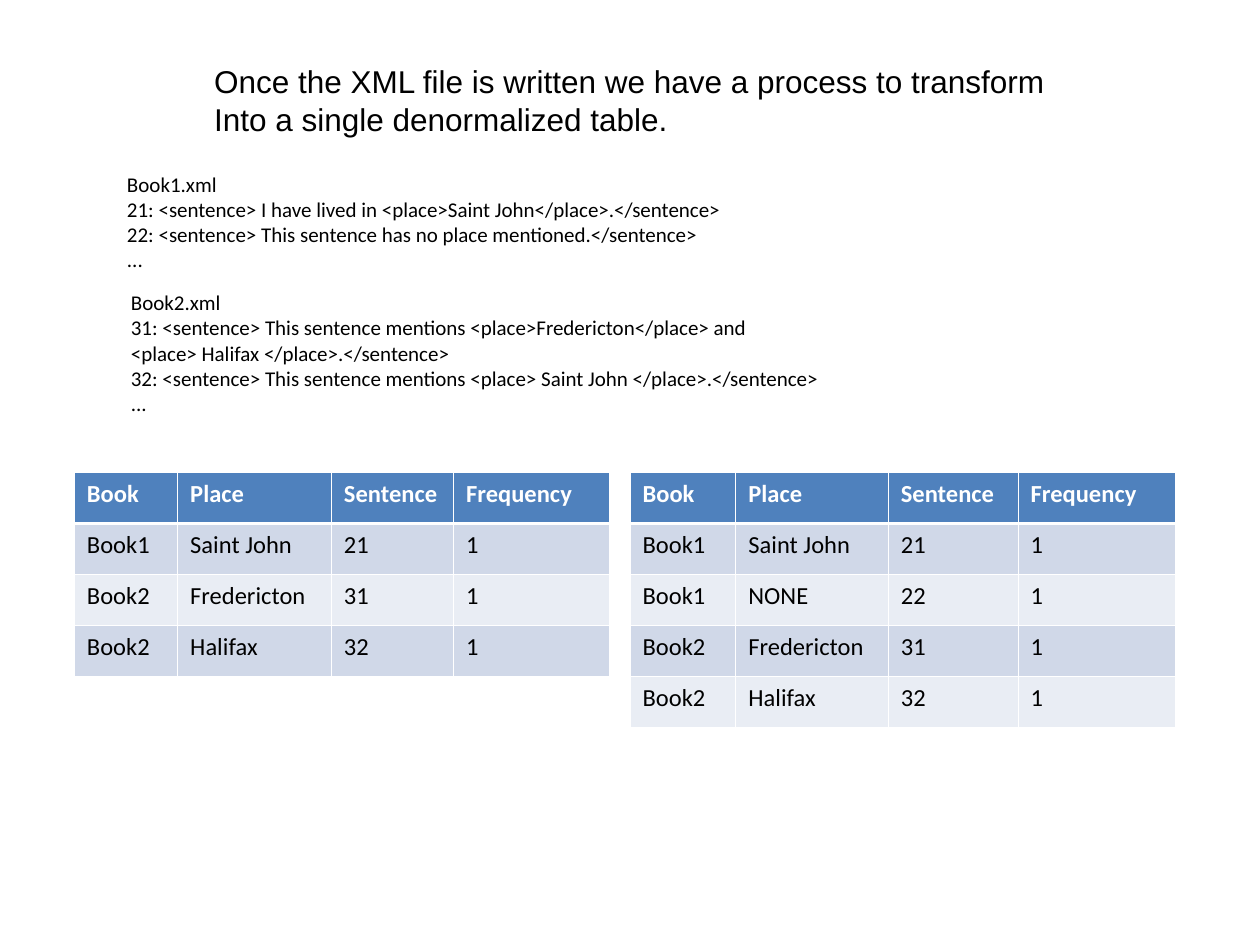
from dataclasses import dataclass

from lxml.etree import SubElement
from pptx import Presentation
from pptx.dml.color import RGBColor
from pptx.enum.text import MSO_ANCHOR, MSO_AUTO_SIZE, PP_ALIGN
from pptx.oxml.ns import qn
from pptx.util import Inches, Pt


@dataclass(frozen=True)
class Theme:
    ink: str = "000000"
    white: str = "FFFFFF"
    head: str = "4F81BD"
    bands: tuple = ("D0D8E8", "E9EDF4")
    title: int = 18
    code: int = 12
    cell: int = 14
    thin: float = 0.45
    thick: float = 1.47


THEME = Theme()
FRAME = {
    "word_wrap": False,
    "auto_size": MSO_AUTO_SIZE.NONE,
    "vertical_anchor": MSO_ANCHOR.TOP,
}

TITLE = [
    "Once the XML file is written we have a process to transform",
    "Into a single denormalized table.",
]
BOOK1 = [
    "Book1.xml",
    "21: <sentence> I have lived in <place>Saint John</place>.</sentence>",
    "22: <sentence> This sentence has no place mentioned.</sentence>",
    "...",
]
BOOK2 = [
    "Book2.xml",
    "31: <sentence> This sentence mentions <place>Fredericton</place> and",
    "<place> Halifax </place>.</sentence>",
    "32: <sentence> This sentence mentions <place> Saint John </place>.</sentence>",
    "...",
]
HEAD = ("Book", "Place", "Sentence", "Frequency")
FOUND = [
    ("Book1", "Saint John", "21", "1"),
    ("Book2", "Fredericton", "31", "1"),
    ("Book2", "Halifax", "32", "1"),
]
NONE = ("Book1", "NONE", "22", "1")
ROW = 0.405


def assign(item, values):
    for name, value in values.items():
        setattr(item, name, value)


def write(frame, lines, size, face="Calibri", ink=THEME.ink, bold=False):
    """Fill a text frame, one paragraph per line."""
    frame.text = "\n".join(lines)
    for para in frame.paragraphs:
        para.alignment = PP_ALIGN.LEFT
        for run in para.runs:
            assign(run.font, {"name": face, "size": Pt(size), "bold": bold})
            run.font.color.rgb = RGBColor.from_string(ink)


def place(shape, left, top, width, height):
    box = {"left": left, "top": top, "width": width, "height": height}
    assign(shape, {name: Inches(value) for name, value in box.items()})


def add_title(slide, box, lines):
    title = slide.shapes.title
    place(title, *box)
    assign(title.text_frame, FRAME)
    write(title.text_frame, lines, THEME.title, "Arial")


def add_code(slide, box, lines):
    shape = slide.shapes.add_textbox(*map(Inches, box))
    assign(shape.text_frame, FRAME)
    write(shape.text_frame, lines, THEME.code)


def add_edge(cell, side, width):
    props = cell._tc.get_or_add_tcPr()
    line = SubElement(props, qn(f"a:ln{side}"), w=str(int(Pt(width))))
    fill = SubElement(line, qn("a:solidFill"))
    SubElement(fill, qn("a:srgbClr"), val=THEME.white)


def style_cell(cell, row, text):
    # Edges come before the fill in the cell's XML
    heavy = {(0, "B"), (1, "T")}
    for side in "LRTB":
        add_edge(cell, side, THEME.thick if (row, side) in heavy else THEME.thin)
    top = row == 0
    color = THEME.head if top else THEME.bands[(row - 1) % 2]
    cell.fill.solid()
    cell.fill.fore_color.rgb = RGBColor.from_string(color)
    write(cell.text_frame, [text], THEME.cell,
          ink=THEME.white if top else THEME.ink, bold=top)


def add_grid(slide, left, top, widths, body):
    rows = [HEAD, *body]
    box = (left, top, sum(widths), ROW * len(rows))
    table = slide.shapes.add_table(len(rows), len(HEAD), *map(Inches, box)).table
    for column, width in zip(table.columns, widths):
        column.width = Inches(width)
    for r, texts in enumerate(rows):
        table.rows[r].height = Inches(ROW)
        for c, text in enumerate(texts):
            style_cell(table.cell(r, c), r, text)


def main():
    deck = Presentation()
    assign(deck, {"slide_width": Inches(10), "slide_height": Inches(7.5)})
    slide = deck.slides.add_slide(deck.slide_layouts[5])

    # Heading
    add_title(slide, (1.6, 0.44, 6.8, 0.7), TITLE)

    # XML excerpts
    add_code(slide, (0.91, 1.31, 4.93, 0.9), BOOK1)
    add_code(slide, (0.94, 2.25, 5.68, 1.1), BOOK2)

    # Tables without and with the sentence that has no place
    add_grid(slide, 0.59, 3.75, (0.82, 1.22, 0.97, 1.24), FOUND)
    add_grid(slide, 5, 3.75, (0.84, 1.21, 1.03, 1.25),
             [FOUND[0], NONE, *FOUND[1:]])

    deck.save("out.pptx")


if __name__ == "__main__":
    main()
